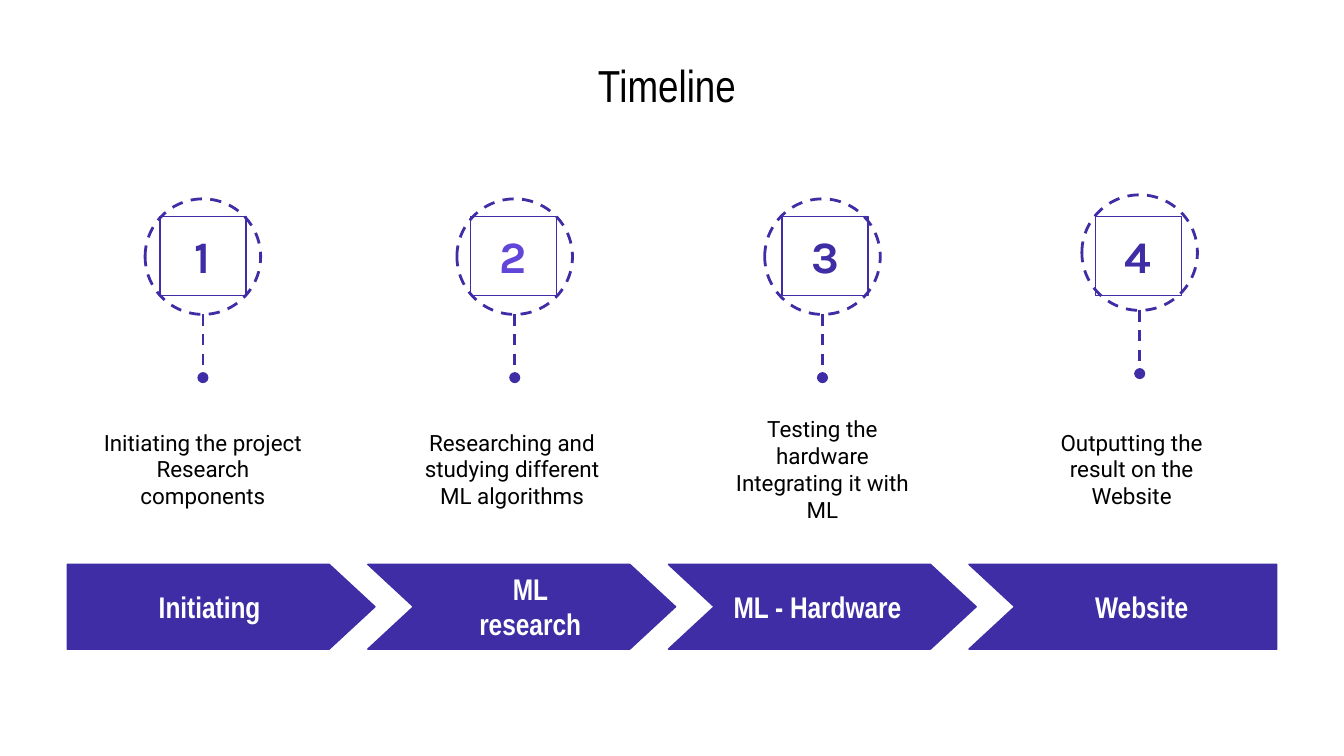
from dataclasses import dataclass

from lxml.etree import SubElement
from pptx import Presentation
from pptx.dml.color import RGBColor
from pptx.enum.dml import MSO_LINE_DASH_STYLE as Dash
from pptx.enum.shapes import MSO_CONNECTOR as Connector, MSO_SHAPE as Shape
from pptx.enum.text import MSO_ANCHOR as Anchor, MSO_AUTO_SIZE as AutoSize, PP_ALIGN as Align
from pptx.oxml.ns import qn
from pptx.util import Inches, Pt


@dataclass(frozen=True)
class Theme:
    primary: str = "3F2DA5"
    accent: str = "6146D9"
    black: str = "000000"
    white: str = "FFFFFF"
    heading_font: str = "Arial Narrow"
    number_font: str = "Karla"
    body_font: str = "Roboto"
    title_size: float = 24
    label_size: float = 16
    body_size: float = 12
    thin: float = 0.75
    thick: float = 1.5


THEME = Theme()


@dataclass(frozen=True)
class Stage:
    label: str
    details: tuple[str, ...]
    marker_left: float
    number_left: float
    details_left: float
    label_left: float
    label_width: float = 1.25
    label_align: Align = Align.CENTER
    marker_top: float = 1.48
    number_color: str = THEME.primary


STAGES = (
    Stage("Initiating ", ("Initiating the project", "Research", "components"),
          1.08, 1.19, 0.67, 0.96),
    Stage("ML research", ("Researching and studying different ML algorithms",),
          3.4, 3.5, 2.97, 3.32, number_color=THEME.accent),
    Stage("ML - Hardware", ("Testing the hardware", "Integrating it with ML"),
          5.69, 5.82, 5.28, 5.36, label_width=2.17, label_align=Align.LEFT),
    Stage("Website", ("Outputting the result on the Website",),
          8.05, 8.15, 7.58, 7.87, marker_top=1.45),
)

SLIDE_WIDTH = 10
SLIDE_HEIGHT = SLIDE_WIDTH * 9 / 16
MARGIN = 0.5
CONTENT_WIDTH = SLIDE_WIDTH - 2 * MARGIN
ARROW_TOP, ARROW_WIDTH, ARROW_HEIGHT = 4.2, 2.29, 0.63
ARROW_STEP = (CONTENT_WIDTH - ARROW_WIDTH) / (len(STAGES) - 1)
ARROW_POINT = 0.34
MARKER_SIZE, STEM_LENGTH = 0.86, 0.47


def write_text(shape, *lines: str, font: str, size: float, color: str,
               bold: bool = False, align: Align = Align.CENTER) -> None:
    frame = shape.text_frame
    frame.word_wrap = True
    frame.auto_size = AutoSize.NONE
    frame.vertical_anchor = Anchor.MIDDLE
    frame.margin_left = frame.margin_right = Inches(0.1)
    frame.margin_top = frame.margin_bottom = Inches(0.1)
    for index, line in enumerate(lines):
        paragraph = frame.add_paragraph() if index else frame.paragraphs[0]
        paragraph.alignment = align
        run = paragraph.add_run()
        run.text = line
        run.font.name = font
        run.font.size = Pt(size)
        run.font.bold = bold
        run.font.color.rgb = RGBColor.from_string(color)


def outline(shape, width: float, dash: Dash = Dash.SOLID) -> None:
    shape.line.color.rgb = RGBColor.from_string(THEME.primary)
    shape.line.width = Pt(width)
    shape.line.dash_style = dash


def add_outlined_shape(slide, kind: Shape, left: float, top: float, width: float,
                       height: float, line_width: float, dash: Dash = Dash.SOLID):
    shape = slide.shapes.add_shape(kind, Inches(left), Inches(top), Inches(width), Inches(height))
    shape.shadow.inherit = False
    shape.fill.background()
    outline(shape, line_width, dash)
    return shape


def add_text_box(slide, left: float, top: float, width: float, height: float):
    return slide.shapes.add_textbox(Inches(left), Inches(top), Inches(width), Inches(height))


def add_arrow(slide, index: int) -> None:
    left = MARGIN + index * ARROW_STEP
    right = left + ARROW_WIDTH
    bottom = ARROW_TOP + ARROW_HEIGHT
    middle = ARROW_TOP + ARROW_HEIGHT / 2
    notch = left + ARROW_POINT if index else left
    shoulder = right if index == len(STAGES) - 1 else right - ARROW_POINT
    points = ((notch, middle), (left, bottom), (shoulder, bottom),
              (right, middle), (shoulder, ARROW_TOP))
    builder = slide.shapes.build_freeform(Inches(left), Inches(ARROW_TOP))
    builder.add_line_segments([(Inches(x), Inches(y)) for x, y in points], close=True)
    arrow = builder.convert_to_shape()
    arrow.shadow.inherit = False
    arrow.fill.solid()
    arrow.fill.fore_color.rgb = RGBColor.from_string(THEME.primary)
    outline(arrow, THEME.thin)


def add_stem(slide, x: float, top: float) -> None:
    stem = slide.shapes.add_connector(Connector.STRAIGHT, Inches(x), Inches(top),
                                      Inches(x), Inches(top + STEM_LENGTH))
    outline(stem, THEME.thick, Dash.DASH)
    SubElement(stem.get_or_add_ln(), qn("a:tailEnd"), type="oval")
    SubElement(stem.element.spPr, qn("a:effectLst"))


def add_stage(slide, index: int, stage: Stage) -> None:
    add_arrow(slide, index)
    add_outlined_shape(slide, Shape.OVAL, stage.marker_left, stage.marker_top,
                       MARKER_SIZE, MARKER_SIZE, THEME.thick, Dash.DASH)
    add_stem(slide, stage.marker_left + MARKER_SIZE / 2, stage.marker_top + MARKER_SIZE)
    number = add_outlined_shape(slide, Shape.RECTANGLE, stage.number_left, 1.61,
                                0.64, 0.59, THEME.thin)
    write_text(number, str(index + 1), font=THEME.number_font, size=THEME.title_size,
               color=stage.number_color, bold=True)
    details = add_text_box(slide, stage.details_left, 2.94, 1.68, 1.1)
    write_text(details, *stage.details, font=THEME.body_font, size=THEME.body_size,
               color=THEME.black)
    label = add_text_box(slide, stage.label_left, 4.32, stage.label_width, 0.38)
    write_text(label, stage.label, font=THEME.heading_font, size=THEME.label_size,
               color=THEME.white, bold=True, align=stage.label_align)


def main() -> None:
    presentation = Presentation()
    presentation.slide_width = Inches(SLIDE_WIDTH)
    presentation.slide_height = Inches(SLIDE_HEIGHT)
    slide = presentation.slides.add_slide(presentation.slide_layouts[5])
    title = slide.shapes.title
    title.left, title.top = Inches(MARGIN), Inches(0.45)
    title.width, title.height = Inches(CONTENT_WIDTH), Inches(0.36)
    write_text(title, "Timeline ", font=THEME.heading_font, size=THEME.title_size,
               color=THEME.black)
    for index, stage in enumerate(STAGES):
        add_stage(slide, index, stage)
    presentation.save("out.pptx")


if __name__ == "__main__":
    main()
